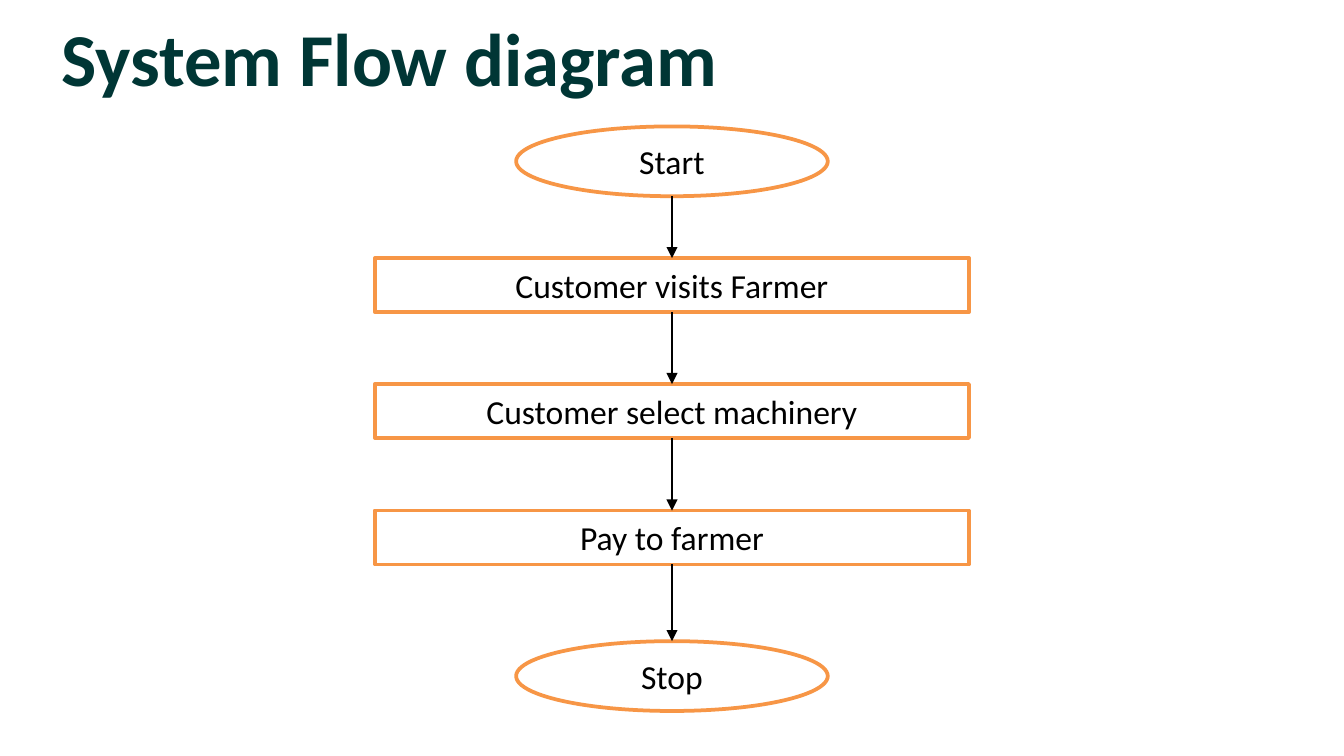
"""Build the system flow diagram slide."""
from itertools import pairwise

from lxml.etree import SubElement
from pptx import Presentation
from pptx.dml.color import RGBColor
from pptx.enum.shapes import MSO_CONNECTOR, MSO_SHAPE
from pptx.enum.text import MSO_ANCHOR, MSO_AUTO_SIZE, PP_ALIGN
from pptx.oxml.ns import qn
from pptx.util import Cm, Pt

TITLE = "System Flow diagram"
STEPS = [
    ("Start", "terminal", 2.39),
    ("Customer visits Farmer", "process", 4.88),
    ("Customer select machinery", "process", 7.26),
    ("Pay to farmer", "process", 9.65),
    ("Stop", "terminal", 12.12),
]
KINDS = {
    "terminal": (MSO_SHAPE.OVAL, 5.89, 1.32),
    "process": (MSO_SHAPE.RECTANGLE, 11.23, 1.02),
}
SLIDE_WIDTH, SLIDE_HEIGHT = 25.4, 14.29
CENTRE = SLIDE_WIDTH / 2


class Theme:
    font = "Calibri"
    title_color = RGBColor.from_string("003635")
    text_color = RGBColor.from_string("000000")
    fill_color = RGBColor.from_string("FFFFFF")
    outline_color = RGBColor.from_string("F79646")
    title_size, step_size = Pt(40), Pt(18)
    outline_width, arrow_width = Pt(2), Pt(0.75)


def write_text(shape, text, size, color, alignment, bold=False):
    frame = shape.text_frame
    frame.word_wrap = True
    frame.auto_size = MSO_AUTO_SIZE.NONE
    frame.vertical_anchor = MSO_ANCHOR.MIDDLE
    paragraph = frame.paragraphs[0]
    paragraph.alignment = alignment
    run = paragraph.add_run()
    run.text = text
    run.font.name = Theme.font
    run.font.size = size
    run.font.bold = bold
    run.font.color.rgb = color


def add_title(slide):
    title = slide.shapes.title
    title.left, title.top = Cm(0.91), Cm(0)
    title.width, title.height = Cm(22.91), Cm(2.13)
    write_text(title, TITLE, Theme.title_size, Theme.title_color, PP_ALIGN.LEFT, bold=True)


def add_step(slide, text, kind, top):
    geometry, width, height = KINDS[kind]
    shape = slide.shapes.add_shape(
        geometry, Cm(CENTRE - width / 2), Cm(top), Cm(width), Cm(height)
    )
    shape.shadow.inherit = False
    shape.fill.solid()
    shape.fill.fore_color.rgb = Theme.fill_color
    shape.line.color.rgb = Theme.outline_color
    shape.line.width = Theme.outline_width
    write_text(shape, text, Theme.step_size, Theme.text_color, PP_ALIGN.CENTER)
    return shape


def add_arrow(slide, upper, lower):
    arrow = slide.shapes.add_connector(
        MSO_CONNECTOR.STRAIGHT, Cm(CENTRE), upper.top + upper.height, Cm(CENTRE), lower.top
    )
    arrow.line.color.rgb = Theme.text_color
    arrow.line.width = Theme.arrow_width
    SubElement(arrow.line._get_or_add_ln(), qn("a:tailEnd"), type="triangle")
    SubElement(arrow._element.spPr, qn("a:effectLst"))


def main():
    presentation = Presentation()
    presentation.slide_width = Cm(SLIDE_WIDTH)
    presentation.slide_height = Cm(SLIDE_HEIGHT)
    slide = presentation.slides.add_slide(presentation.slide_layouts[5])
    add_title(slide)
    shapes = [add_step(slide, *step) for step in STEPS]
    for upper, lower in pairwise(shapes):
        add_arrow(slide, upper, lower)
    presentation.save("out.pptx")


if __name__ == "__main__":
    main()
